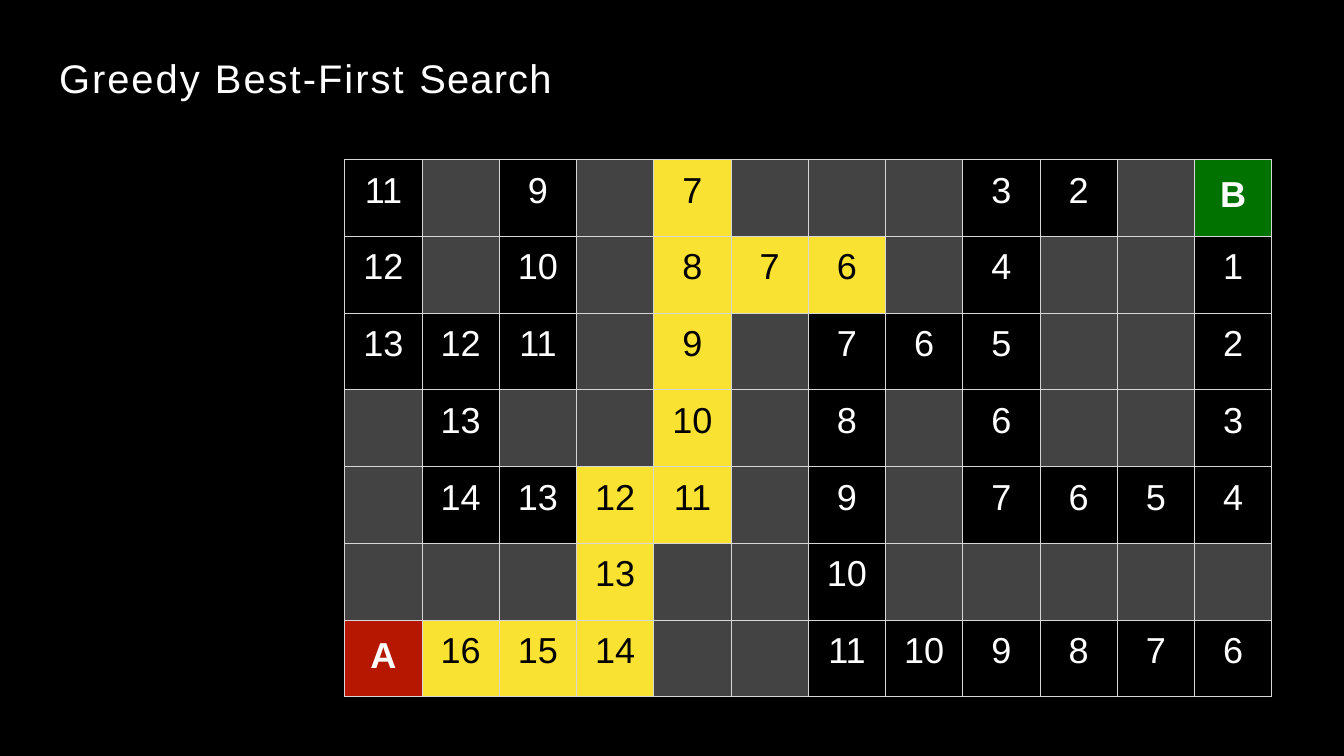
"""Build the Greedy Best-First Search maze slide."""
import pptx
import pptx.dml.color
import pptx.enum.text
import pptx.oxml
import pptx.oxml.ns
import pptx.util

Cm = pptx.util.Cm
Pt = pptx.util.Pt

BLACK, WHITE, WALL, PATH = "000000", "FFFFFF", "434343", "FAE232"
START, GOAL, BORDER = "B51700", "017100", "D6D7D6"

MAZE = """
11 # 9 # 7* # # # 3 2 # B
12 # 10 # 8* 7* 6* # 4 # # 1
13 12 11 # 9* # 7 6 5 # # 2
# 13 # # 10* # 8 # 6 # # 3
# 14 13 12* 11* # 9 # 7 6 5 4
# # # 13* # # 10 # # # # #
A 16* 15* 14* # # 11 10 9 8 7 6
"""


def rgb(value):
    return pptx.dml.color.RGBColor.from_string(value)


class Deck:
    font = "Arial"

    def __init__(self, width, height):
        self.prs = pptx.Presentation()
        self.prs.slide_width, self.prs.slide_height = Cm(width), Cm(height)
        self.s = None

    def slide(self, background):
        self.s = self.prs.slides.add_slide(self.prs.slide_layouts[5])
        fill = self.s.background.fill
        fill.solid()
        fill.fore_color.rgb = rgb(background)

    def run(self, p, text, size, color, spacing=0, bold=False):
        r = p.add_run()
        r.text = text
        r.font.name, r.font.size, r.font.bold = self.font, Pt(size), bold
        r.font.color.rgb = rgb(color)
        if spacing:
            r.font._element.set("spc", str(round(spacing * 100)))

    def title(self, left, top, width, height, size, runs):
        sp = self.s.shapes.title
        sp.left, sp.top, sp.width, sp.height = map(Cm, (left, top, width, height))
        tf = sp.text_frame
        tf.word_wrap = True
        tf.auto_size = pptx.enum.text.MSO_AUTO_SIZE.NONE
        tf.vertical_anchor = pptx.enum.text.MSO_ANCHOR.TOP
        tf.margin_left = tf.margin_right = tf.margin_bottom = 0
        tf.margin_top = Cm(0.03)
        p = tf.paragraphs[0]
        p.alignment = pptx.enum.text.PP_ALIGN.LEFT
        for text, spacing in runs:
            self.run(p, text, size, WHITE, spacing)

    def borders(self, cell):
        tc_pr = cell._tc.get_or_add_tcPr()
        for side in "LRTB":
            tc_pr.append(pptx.oxml.parse_xml(
                f'<a:ln{side} {pptx.oxml.ns.nsdecls("a")} w="12700"><a:solidFill>'
                f'<a:srgbClr val="{BORDER}"/></a:solidFill></a:ln{side}>'))

    def cell(self, cell, mark):
        self.borders(cell)
        fills = {"#": WALL, "A": START, "B": GOAL}
        on_path = mark.endswith("*")
        cell.fill.solid()
        cell.fill.fore_color.rgb = rgb(PATH if on_path else fills.get(mark, BLACK))
        cell.margin_left = cell.margin_right = cell.margin_bottom = 0
        if mark == "#":
            return
        bold = mark in "AB"
        cell.margin_top = Cm(0.65 if bold else 0.46)
        p = cell.text_frame.paragraphs[0]
        p.alignment = pptx.enum.text.PP_ALIGN.CENTER
        text = mark.rstrip("*")
        spacing = -0.1 if len(text) == 2 else 0
        self.run(p, text, 42.5, BLACK if on_path else WHITE, spacing, bold)

    def maze(self, left, top, cell_width, cell_height, rows):
        count, columns = len(rows), len(rows[0])
        table = self.s.shapes.add_table(
            count, columns, Cm(left), Cm(top),
            Cm(cell_width * columns), Cm(cell_height * count)).table
        table.first_row = table.horz_banding = False
        for column in table.columns:
            column.width = Cm(cell_width)
        for i, marks in enumerate(rows):
            table.rows[i].height = Cm(cell_height)
            for j, mark in enumerate(marks):
                self.cell(table.cell(i, j), mark)


def main():
    deck = Deck(55.85, 31.42)
    deck.slide(BLACK)
    deck.title(2.46, 2.18, 20.5, 2.06, 47,
               [("Greedy ", 2.3), ("Best-First ", 2.4), ("Search", 1.4)])
    deck.maze(14.33, 6.63, 3.21, 3.19,
              [line.split() for line in MAZE.strip().splitlines()])
    deck.prs.save("out.pptx")


if __name__ == "__main__":
    main()
